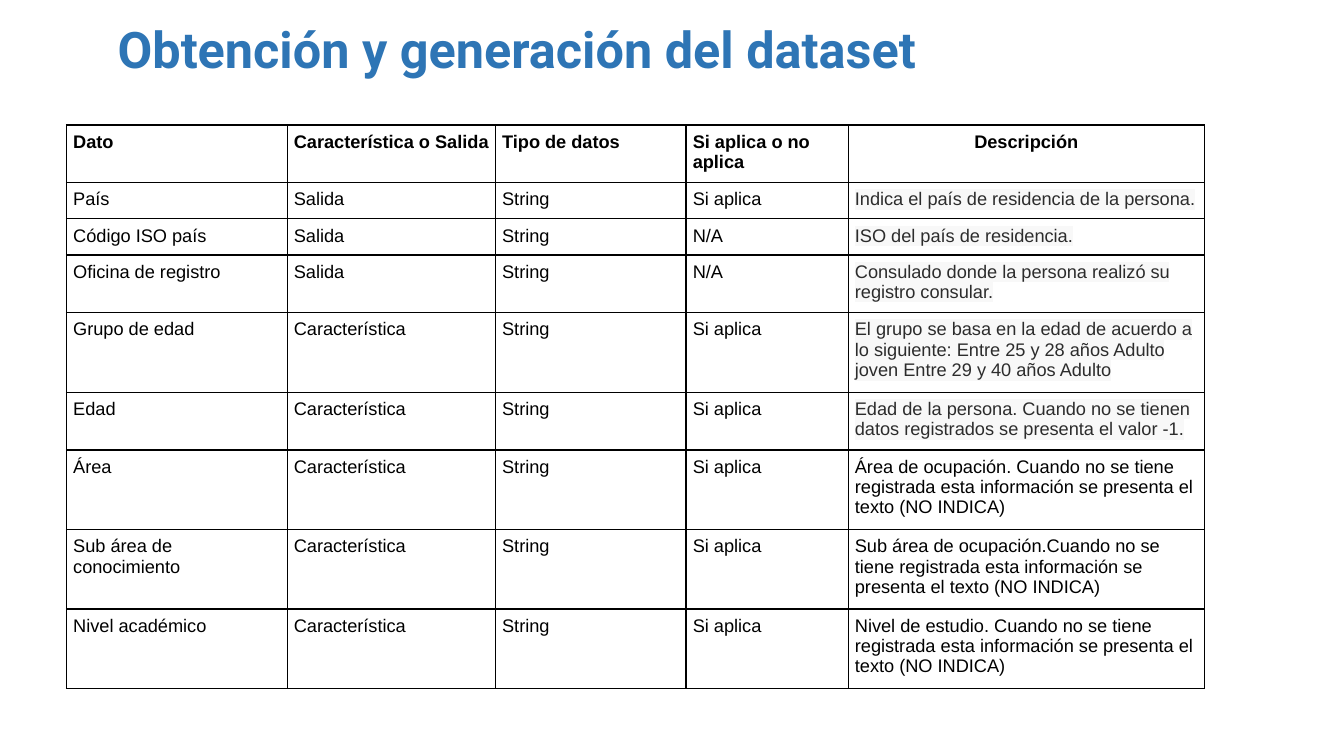
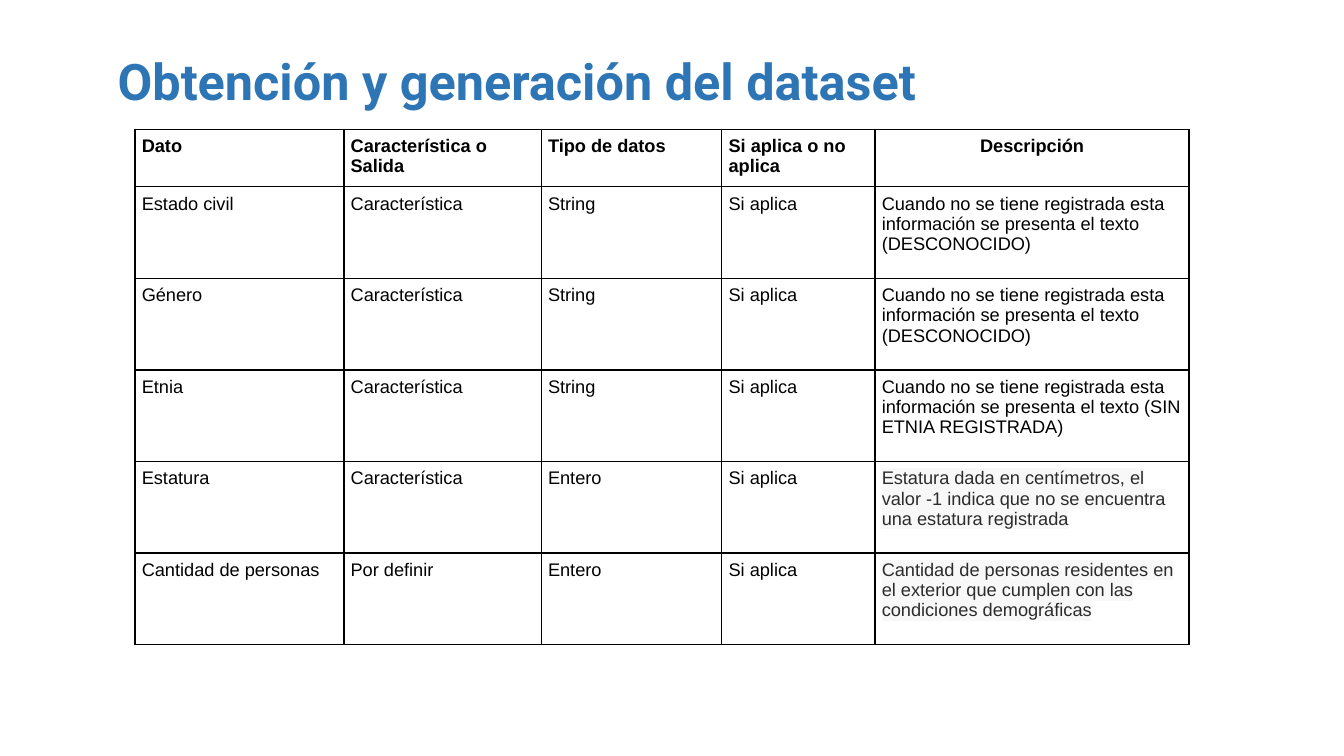
from dataclasses import dataclass

import lxml.etree
import pptx
import pptx.dml.color
import pptx.enum.text
import pptx.oxml.ns
import pptx.util

Pt = pptx.util.Pt
RGB = pptx.dml.color.RGBColor
ALIGN = pptx.enum.text.PP_ALIGN
qn = pptx.oxml.ns.qn


@dataclass(frozen=True)
class Theme:
    title_color: str = "2E75B5"
    text_color: str = "000000"
    note_color: str = "2C2C2C"
    note_highlight: str = "F8F8F8"
    border_color: str = "000000"
    title_font: str = "Roboto"
    body_font: str = "Arial"
    title_size: float = 36
    body_size: float = 13
    border_width: float = 1
    cell_margin: float = 4.8


class Deck:
    def __init__(self, theme):
        self.theme = theme
        self.prs = pptx.Presentation()
        self.prs.slide_width, self.prs.slide_height = Pt(960), Pt(540)
        self.s = None

    def slide(self):
        self.s = self.prs.slides.add_slide(self.prs.slide_layouts[6])

    def run(self, p, text, font, size, color, bold=False, highlight=None):
        r = p.add_run()
        r.text = text
        r.font.name, r.font.size, r.font.bold = font, Pt(size), bold
        r.font.color.rgb = RGB.from_string(color)
        if highlight:
            mark = lxml.etree.Element(qn("a:highlight"))
            lxml.etree.SubElement(mark, qn("a:srgbClr"), val=highlight)
            r.font._element.find(qn("a:solidFill")).addnext(mark)

    def title(self, text, top, height):
        t = self.theme
        sp = self.s.shapes.add_textbox(Pt(77), Pt(top), Pt(806), Pt(height))
        tf = sp.text_frame
        tf.word_wrap = True
        self.run(tf.paragraphs[0], text, t.title_font, t.title_size, t.title_color, bold=True)

    def borders(self, cell):
        tc_pr = cell._tc.get_or_add_tcPr()
        for i, side in enumerate(("lnL", "lnR", "lnT", "lnB")):
            ln = lxml.etree.Element(qn(f"a:{side}"), w=str(Pt(self.theme.border_width)))
            fill = lxml.etree.SubElement(ln, qn("a:solidFill"))
            lxml.etree.SubElement(fill, qn("a:srgbClr"), val=self.theme.border_color)
            tc_pr.insert(i, ln)

    def cell(self, cell, text, header=False, note=False, centered=False):
        t = self.theme
        cell.margin_left = cell.margin_right = Pt(t.cell_margin)
        cell.margin_top = cell.margin_bottom = Pt(t.cell_margin)
        cell.fill.background()
        self.borders(cell)
        p = cell.text_frame.paragraphs[0]
        p.alignment = ALIGN.CENTER if centered else ALIGN.LEFT
        self.run(p, text, t.body_font, t.body_size,
                 t.note_color if note else t.text_color, bold=header,
                 highlight=t.note_highlight if note else None)

    def table(self, left, top, widths, heights, rows, notes):
        tbl = self.s.shapes.add_table(len(rows), len(widths), Pt(left), Pt(top),
                                      Pt(sum(widths)), Pt(sum(heights))).table
        tbl.first_row = tbl.horz_banding = False
        for column, width in zip(tbl.columns, widths):
            column.width = Pt(width)
        last = len(widths) - 1
        for i, (row, height) in enumerate(zip(rows, heights)):
            tbl.rows[i].height = Pt(height)
            for j, text in enumerate(row):
                self.cell(tbl.cell(i, j), text, header=i == 0,
                          note=j == last and i in notes,
                          centered=i == 0 and j == last)


def row_height(lines):
    return 10.3 + 15.5 * lines


TITLE = "Obtención y generación del dataset"
HEADER = ("Dato", "Característica o Salida", "Tipo de datos", "Si aplica o no aplica", "Descripción")
MISSING = "Cuando no se tiene registrada esta información se presenta el texto"

PLACE_AND_STUDY = [
    HEADER,
    ("País", "Salida", "String", "Si aplica", "Indica el país de residencia de la persona."),
    ("Código ISO país", "Salida", "String", "N/A", "ISO del país de residencia."),
    ("Oficina de registro", "Salida", "String", "N/A",
     "Consulado donde la persona realizó su registro consular."),
    ("Grupo de edad", "Característica", "String", "Si aplica",
     "El grupo se basa en la edad de acuerdo a lo siguiente: "
     "Entre 25 y 28 años Adulto joven Entre 29 y 40 años Adulto"),
    ("Edad", "Característica", "String", "Si aplica",
     "Edad de la persona. Cuando no se tienen datos registrados se presenta el valor -1."),
    ("Área", "Característica", "String", "Si aplica", f"Área de ocupación. {MISSING} (NO INDICA)"),
    ("Sub área de conocimiento", "Característica", "String", "Si aplica",
     f"Sub área de ocupación.{MISSING} (NO INDICA)"),
    ("Nivel académico", "Característica", "String", "Si aplica",
     f"Nivel de estudio. {MISSING} (NO INDICA)"),
]

PERSONAL = [
    HEADER,
    ("Estado civil", "Característica", "String", "Si aplica", f"{MISSING} (DESCONOCIDO)"),
    ("Género", "Característica", "String", "Si aplica", f"{MISSING} (DESCONOCIDO)"),
    ("Etnia", "Característica", "String", "Si aplica", f"{MISSING} (SIN ETNIA REGISTRADA)"),
    ("Estatura", "Característica", "Entero", "Si aplica",
     "Estatura dada en centímetros, el valor -1 indica que no se encuentra una estatura registrada"),
    ("Cantidad de personas", "Por definir", "Entero", "Si aplica",
     "Cantidad de personas residentes en el exterior que cumplen con las condiciones demográficas"),
]


def main():
    deck = Deck(Theme())

    deck.slide()
    deck.title(TITLE, 9.4, 51)
    deck.table(47.5, 89.3, (157.6, 148.8, 136.2, 115.8, 254.3),
               [row_height(n) for n in (2, 1, 1, 2, 3, 2, 3, 3, 3)],
               PLACE_AND_STUDY, notes=range(1, 6))

    deck.slide()
    deck.title(TITLE, 32.4, 73)
    deck.table(96.5, 92.2, (149.2, 141, 129, 109.4, 224.2),
               [row_height(2)] + [65.4] * 5, PERSONAL, notes=(4, 5))

    deck.prs.save("out.pptx")


if __name__ == "__main__":
    main()
